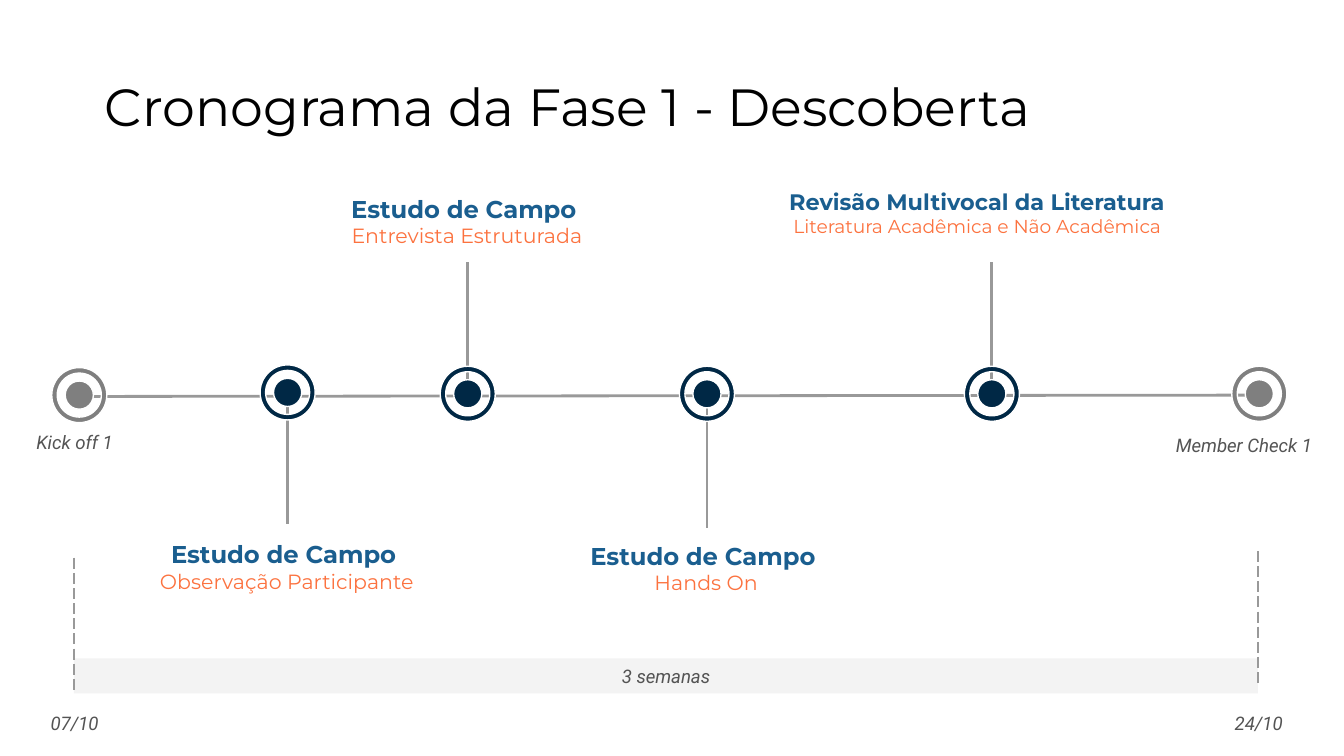
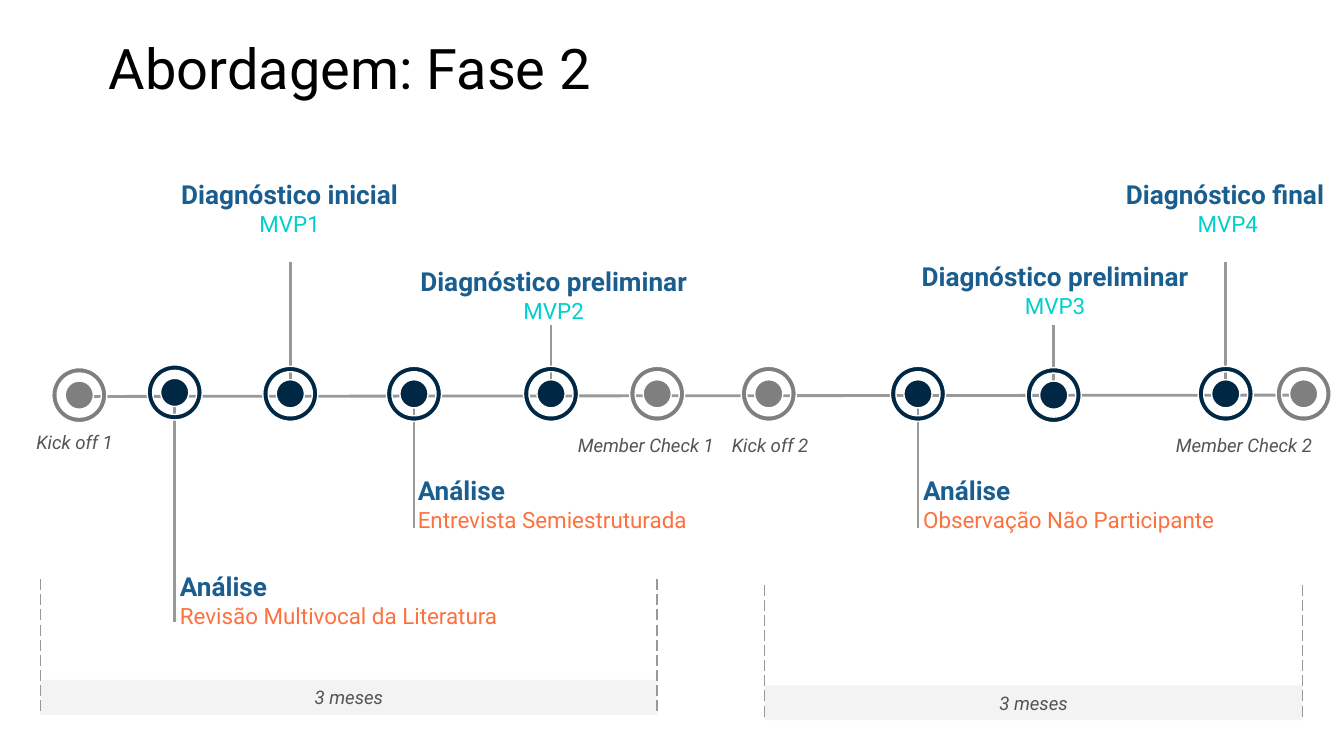
from dataclasses import dataclass
from typing import Optional

from lxml.etree import SubElement
from pptx import Presentation
from pptx.dml.color import RGBColor
from pptx.enum.dml import MSO_LINE
from pptx.enum.shapes import MSO_CONNECTOR, MSO_SHAPE
from pptx.enum.text import MSO_ANCHOR, MSO_AUTO_SIZE, PP_ALIGN
from pptx.oxml.ns import qn
from pptx.util import Inches, Pt

BLACK, WHITE = "000000", "FFFFFF"
NAVY, GRAY, BLUE = "002845", "7F7F7F", "1A5E8F"
ORANGE, TEAL = "FC723F", "00CFCC"
LINE_GRAY, BAND_GRAY, CAPTION_GRAY = "999999", "F3F3F3", "545454"
DISPLAY_FONT, BODY_FONT = "Montserrat", "Roboto"
RING_SIZE, DOT_SIZE = 0.41, 0.21
DASH_LENGTH, CAPTION_HEIGHT = 0.99, 0.5


@dataclass(frozen=True)
class Marker:
    x: float
    y: float
    pin: Optional[tuple[float, float]] = None
    color: str = NAVY


@dataclass(frozen=True)
class Label:
    left: float
    top: float
    width: float
    height: float
    heading: str
    detail: str
    size: int = 14
    color: str = ORANGE
    align: PP_ALIGN = PP_ALIGN.CENTER


@dataclass(frozen=True)
class Caption:
    left: float
    top: float
    width: float
    text: str


@dataclass(frozen=True)
class Period:
    left: float
    top: float
    width: float
    text: str
    left_rise: float = 0.75
    right_rise: float = 0.75


@dataclass(frozen=True)
class Timeline:
    title: str
    title_box: tuple[float, float, float, float]
    title_size: int
    font: str
    axis_end: float
    markers: list[Marker]
    labels: list[Label]
    captions: list[Caption]
    periods: list[Period]


TIMELINES = [
    Timeline(
        "Cronograma da Fase 1 - Descoberta", (0.68, 0.45, 7.56, 0.63), 28, DISPLAY_FONT, 9.45,
        markers=[
            Marker(0.59, 2.94, color=GRAY),
            Marker(2.14, 2.92, (2.91, 3.9)),
            Marker(3.48, 2.93, (1.95, 2.94)),
            Marker(5.26, 2.93, (2.94, 3.93)),
            Marker(7.38, 2.93, (1.95, 2.94)),
            Marker(9.37, 2.93, color=GRAY),
        ],
        labels=[
            Label(1.02, 3.87, 2.23, 0.69, "Estudo de Campo ", "Observação Participante", 13),
            Label(2.12, 1.33, 2.71, 0.63, "Estudo de Campo ", "Entrevista Estruturada", 13),
            Label(4.14, 3.88, 2.23, 0.69, "Estudo de Campo ", "Hands On", 13),
            Label(5.69, 1.21, 3.16, 0.74, "Revisão Multivocal da Literatura",
                  "Literatura Acadêmica e Não Acadêmica", 12),
        ],
        captions=[
            Caption(0.06, 3.04, 0.99, "Kick off 1"),
            Caption(8.6, 3.06, 1.31, "Member Check 1"),
            Caption(0.06, 5.13, 0.99, "07/10"),
            Caption(8.87, 5.13, 0.99, "24/10"),
        ],
        periods=[Period(0.55, 4.9, 8.81, "3 semanas", right_rise=0.8)],
    ),
    Timeline(
        "Abordagem: Fase 2", (0.71, 0.15, 6.12, 0.63), 30, BODY_FONT, 9.65,
        markers=[
            Marker(0.59, 2.94, color=GRAY),
            Marker(1.3, 2.92, (2.91, 4.63)),
            Marker(2.16, 2.93, (1.95, 2.94)),
            Marker(3.08, 2.93, (2.94, 3.93)),
            Marker(4.1, 2.93, (2.42, 2.91)),
            Marker(4.89, 2.93, color=GRAY),
            Marker(5.72, 2.93, color=GRAY),
            Marker(6.83, 2.93, (2.94, 3.93)),
            Marker(7.84, 2.94, (2.42, 2.91)),
            Marker(9.12, 2.93, (1.95, 2.94)),
            Marker(9.7, 2.93, color=GRAY),
        ],
        labels=[
            Label(1.21, 1.31, 1.89, 0.47, "Diagnóstico inicial", "MVP1", color=TEAL),
            Label(2.98, 1.96, 2.28, 0.47, "Diagnóstico preliminar", "MVP2", color=TEAL),
            Label(6.71, 1.92, 2.28, 0.47, "Diagnóstico preliminar", "MVP3", color=TEAL),
            Label(8.17, 1.31, 1.89, 0.47, "Diagnóstico final", " MVP4", color=TEAL),
            Label(1.24, 4.04, 2.62, 0.84, "Análise", "Revisão Multivocal da Literatura",
                  align=PP_ALIGN.LEFT),
            Label(3.01, 3.33, 2.62, 0.84, "Análise", "Entrevista Semiestruturada",
                  align=PP_ALIGN.LEFT),
            Label(6.77, 3.3, 2.71, 0.9, "Análise", "Observação Não Participante",
                  align=PP_ALIGN.LEFT),
        ],
        captions=[
            Caption(0.06, 3.04, 0.99, "Kick off 1"),
            Caption(4.15, 3.06, 1.31, "Member Check 1"),
            Caption(5.31, 3.06, 0.84, "Kick off 2"),
            Caption(8.6, 3.06, 1.31, "Member Check 2"),
        ],
        periods=[Period(0.3, 5.06, 4.59, "3 meses"), Period(5.69, 5.1, 4, "3 meses")],
    ),
]


def rgb(color: str) -> RGBColor:
    """Turn a hex string into a colour."""
    return RGBColor.from_string(color)


def prepare_frame(shape, anchor: MSO_ANCHOR):
    """Set wrapping, insets and anchor, and return the text frame."""
    frame = shape.text_frame
    frame.word_wrap = True
    frame.auto_size = MSO_AUTO_SIZE.NONE
    frame.vertical_anchor = anchor
    frame.margin_left = frame.margin_right = Inches(0.1)
    frame.margin_top = frame.margin_bottom = Inches(0.1)
    return frame


def add_span(para, text: str, font: str, size: int, color: str,
             bold: bool = False, italic: bool = False,
             align: PP_ALIGN = PP_ALIGN.CENTER) -> None:
    """Add a formatted run to an aligned paragraph."""
    para.alignment = align
    span = para.add_run()
    span.text = text
    span.font.name = font
    span.font.size = Pt(size)
    span.font.bold = bold
    span.font.italic = italic
    span.font.color.rgb = rgb(color)


def set_title(page, timeline: Timeline) -> None:
    """Place and format the title placeholder."""
    title = page.shapes.title
    title.left, title.top, title.width, title.height = map(Inches, timeline.title_box)
    frame = prepare_frame(title, MSO_ANCHOR.TOP)
    add_span(frame.paragraphs[0], timeline.title, timeline.font, timeline.title_size,
             BLACK, align=PP_ALIGN.LEFT)


def add_line(page, start: tuple[float, float], end: tuple[float, float],
             width: float = 1.5, dashed: bool = False) -> None:
    """Draw a straight gray line."""
    line = page.shapes.add_connector(MSO_CONNECTOR.STRAIGHT, *map(Inches, start + end))
    line.line.color.rgb = rgb(LINE_GRAY)
    line.line.width = Pt(width)
    if dashed:
        line.line.dash_style = MSO_LINE.LONG_DASH
    SubElement(line._element.spPr, qn("a:effectLst"))


def add_filled_shape(shapes, kind: MSO_SHAPE, left: float, top: float,
                     width: float, height: float, color: str):
    """Add a flat shape without an outline."""
    shape = shapes.add_shape(kind, *map(Inches, (left, top, width, height)))
    shape.shadow.inherit = False
    shape.fill.solid()
    shape.fill.fore_color.rgb = rgb(color)
    shape.line.fill.background()
    return shape


def add_marker(page, marker: Marker) -> None:
    """Draw a grouped dot and ring centred on the marker."""
    group = page.shapes.add_group_shape()
    for kind, size in ((MSO_SHAPE.OVAL, DOT_SIZE), (MSO_SHAPE.DONUT, RING_SIZE)):
        shape = add_filled_shape(group.shapes, kind, marker.x - size / 2,
                                 marker.y - size / 2, size, size, marker.color)
        shape.line.color.rgb = rgb(WHITE)
        shape.line.width = Pt(0.75)
        if kind == MSO_SHAPE.DONUT:
            shape.adjustments[0] = 0.1


def add_label(page, label: Label, font: str) -> None:
    """Write a bold heading above its detail line."""
    box = page.shapes.add_textbox(
        *map(Inches, (label.left, label.top, label.width, label.height)))
    frame = prepare_frame(box, MSO_ANCHOR.MIDDLE)
    add_span(frame.paragraphs[0], label.heading, font, label.size, BLUE,
             bold=True, align=label.align)
    add_span(frame.add_paragraph(), label.detail, font, label.size - 2, label.color,
             align=label.align)


def add_caption(page, caption: Caption) -> None:
    """Write a small italic caption."""
    box = page.shapes.add_textbox(
        *map(Inches, (caption.left, caption.top, caption.width, CAPTION_HEIGHT)))
    frame = prepare_frame(box, MSO_ANCHOR.MIDDLE)
    add_span(frame.paragraphs[0], caption.text, BODY_FONT, 10, CAPTION_GRAY, italic=True)


def add_period(page, period: Period) -> None:
    """Draw a duration band between two dashed limits."""
    add_filled_shape(page.shapes, MSO_SHAPE.RECTANGLE, period.left, period.top,
                     period.width, 0.26, BAND_GRAY)
    add_caption(page, Caption(period.left, period.top - 0.12, period.width, period.text))
    right = period.left + period.width
    for x, rise in ((period.left, period.left_rise), (right, period.right_rise)):
        top = period.top - rise
        add_line(page, (x, top), (x, top + DASH_LENGTH), 0.75, dashed=True)


def add_timeline(deck, timeline: Timeline) -> None:
    """Build one timeline slide."""
    page = deck.slides.add_slide(deck.slide_layouts.get_by_name("Title Only"))
    set_title(page, timeline)
    add_line(page, (0.51, 2.95), (timeline.axis_end, 2.94))
    for marker in timeline.markers:
        if marker.pin:
            start, end = marker.pin
            add_line(page, (marker.x, start), (marker.x, end))
        add_marker(page, marker)
    for label in timeline.labels:
        add_label(page, label, timeline.font)
    for period in timeline.periods:
        add_period(page, period)
    for caption in timeline.captions:
        add_caption(page, caption)


def main() -> None:
    """Build and save the deck."""
    deck = Presentation()
    deck.slide_width = Inches(10)
    deck.slide_height = deck.slide_width * 9 // 16
    for timeline in TIMELINES:
        add_timeline(deck, timeline)
    deck.save("out.pptx")


if __name__ == "__main__":
    main()
